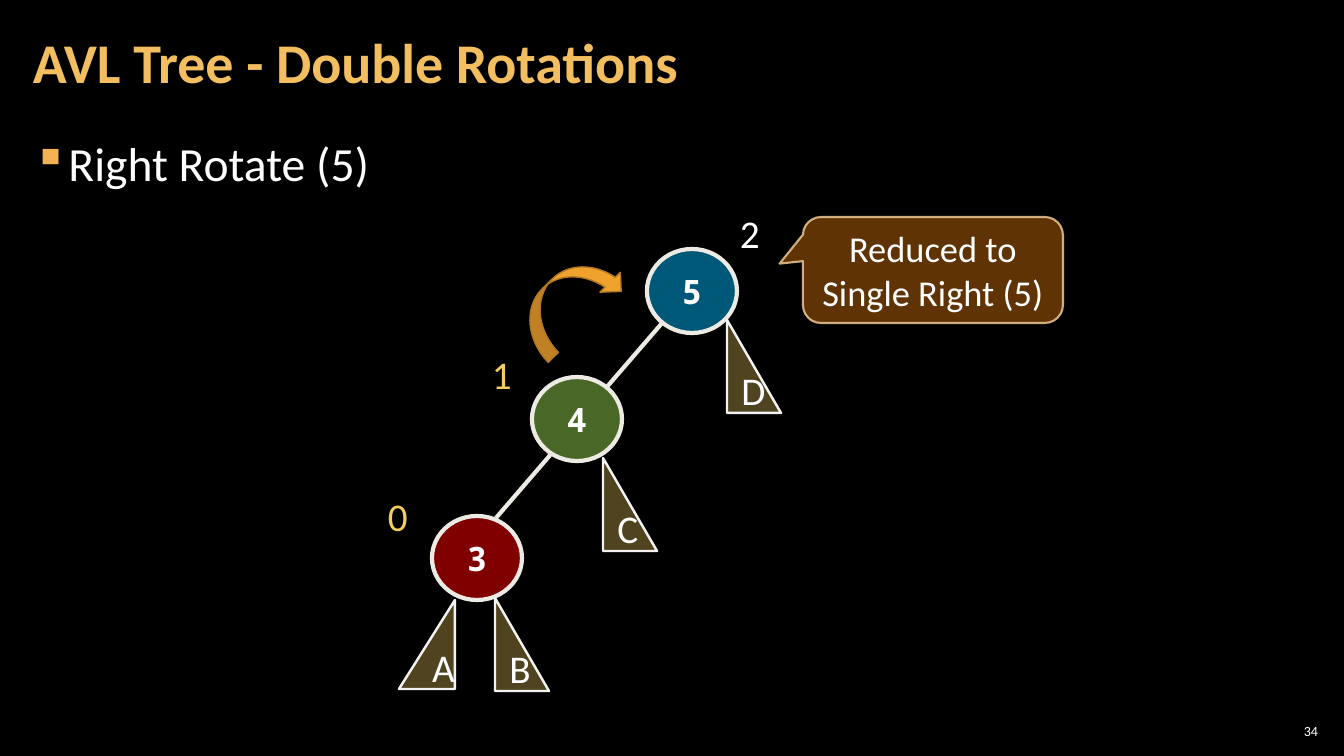
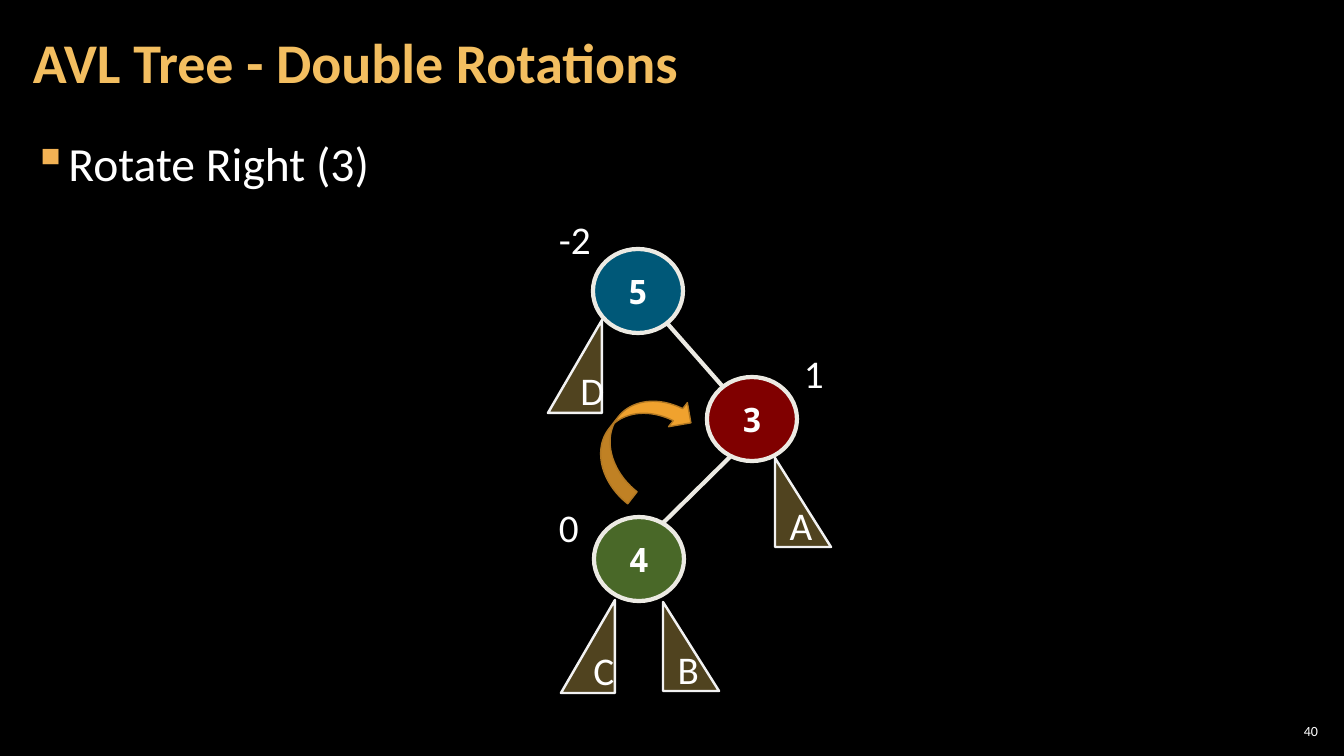
from lxml.etree import SubElement
from pptx import Presentation
from pptx.dml.color import RGBColor
from pptx.enum.shapes import MSO_CONNECTOR as Line, MSO_SHAPE as Shape
from pptx.enum.text import MSO_ANCHOR as Anchor, PP_ALIGN as Align
from pptx.oxml.ns import qn
from pptx.util import Pt

BLACK = RGBColor(0x00, 0x00, 0x00)
WHITE = RGBColor(0xFF, 0xFF, 0xFF)
TITLE = RGBColor(0xF3, 0xBE, 0x60)
BULLET = RGBColor(0xF2, 0xB2, 0x54)
GOLD = RGBColor(0xF3, 0xCD, 0x60)
IVORY = RGBColor(0xEC, 0xEA, 0xE3)
PALE = RGBColor(0xF2, 0xF2, 0xF2)
BLUE = RGBColor(0x00, 0xB0, 0xF0)
GREEN = RGBColor(0x92, 0xD0, 0x50)
RED = RGBColor(0xFF, 0x00, 0x00)
BROWN = RGBColor(0x66, 0x36, 0x06)
TAN = RGBColor(0xF8, 0xD4, 0x9E)
ORANGE = RGBColor(0xF0, 0xA2, 0x2E)
RUST = RGBColor(0xB2, 0x78, 0x22)

PX = 914400 / 100.8
SANS = "Calibri"
MONO = "Noto Sans Mono"

KEYS = {"5": BLUE, "4": GREEN, "3": RED}
SIZES = {"A": (56, 89), "C": (54, 93), "D": (54, 93)}

FRAME = {
    "title": {"box": (21, 4, 1055, 122), "pad": (12, 4), "anchor": Anchor.MIDDLE,
              "para": {"line_spacing": 0.9},
              "font": {"size": Pt(40), "bold": True}, "color": TITLE},
    "body": {"box": (21, 127, 1301, 614), "pad": (12, 4), "anchor": Anchor.TOP,
             "para": {"line_spacing": 1.05, "space_after": Pt(6)},
             "font": {"size": Pt(34)}, "color": WHITE},
    "page": {"box": (1275, 720, 47, 21), "pad": (4, 4), "anchor": Anchor.MIDDLE,
             "para": {"alignment": Align.RIGHT},
             "font": {"size": Pt(10)}, "color": WHITE},
}

SLIDES = [
    {
        "text": {"title": "AVL Tree - Double Rotations", "body": "Right Rotate (5)", "page": "34"},
        "edges": [(663, 322, 606, 388), (552, 453, 496, 518)],
        "nodes": [("5", 647, 249), ("4", 532, 377), ("3", 432, 516)],
        "trees": [("D", 727, 320, (54, 93), False), ("A", 399, 600, (56, 89), True),
                  ("B", 495, 598, (54, 93), False), ("C", 603, 458, (54, 93), False)],
        "marks": [("2", 730, 204, WHITE), ("1", 482, 345, GOLD), ("0", 378, 487, GOLD)],
        "arrow": (Shape.CURVED_DOWN_ARROW, (512, 273, 116, 57), 315.8, False),
        "note": "Reduced to Single Right (5)",
    },
    {
        "text": {"title": "AVL Tree - Double Rotations", "body": "Rotate Right (3)", "page": "40"},
        "edges": [(666, 322, 724, 388), (730, 457, 663, 523)],
        "nodes": [("5", 593, 249), ("3", 707, 377), ("4", 594, 517)],
        "trees": [("D", 548, 320, (54, 93), True), ("A", 775, 458, (56, 89), False),
                  ("C", 561, 600, (54, 93), True), ("B", 663, 602, (56, 89), False)],
        "marks": [("-2", 549, 210, WHITE), ("1", 794, 344, WHITE), ("0", 549, 498, WHITE)],
        "arrow": (Shape.CURVED_UP_ARROW, (581, 408, 118, 61), 128, True),
        "note": None,
    },
]
del SIZES


def write(item, text, size=28, color=WHITE, name=SANS, frame=None, para=None, font=None):
    box = item.text_frame
    for key, val in {"word_wrap": True, **(frame or {})}.items():
        setattr(box, key, val)
    line = box.paragraphs[0]
    for key, val in (para or {}).items():
        setattr(line, key, val)
    run = line.add_run()
    run.text = text
    for key, val in {"name": name, "size": Pt(size), **(font or {})}.items():
        setattr(run.font, key, val)
    run.font.color.rgb = color
    return line


def draw(page, kind, box, fill, edge, width, alpha=100, flip=False):
    item = page.shapes.add_shape(kind, *(round(n * PX) for n in box))
    item.shadow.inherit = False
    item.fill.solid()
    item.fill.fore_color.rgb = fill
    item.line.color.rgb = edge
    item.line.width = Pt(width)
    props = item.element.spPr
    if alpha < 100:
        tint = props.find(qn("a:solidFill")).find(qn("a:srgbClr"))
        SubElement(tint, qn("a:alpha"), val=str(alpha * 1000))
    if flip:
        props.find(qn("a:xfrm")).set("flipH", "1")
    return item


deck = Presentation()
deck.slide_width = round(1344 * PX)
deck.slide_height = round(756 * PX)
MID = {"vertical_anchor": Anchor.MIDDLE}
CENTER = {"alignment": Align.CENTER}

for data in SLIDES:
    page = deck.slides.add_slide(deck.slide_layouts[6])
    page.background.fill.solid()
    page.background.fill.fore_color.rgb = BLACK

    for part, look in FRAME.items():
        item = page.shapes.add_textbox(*(round(n * PX) for n in look["box"]))
        side, top = (round(n * PX) for n in look["pad"])
        frame = {"margin_left": side, "margin_right": side, "margin_top": top,
                 "margin_bottom": top, "vertical_anchor": look["anchor"]}
        line = write(item, data["text"][part], color=look["color"], frame=frame,
                     para=look["para"], font=look["font"])
        if part == "body":
            props = line._p.get_or_add_pPr()
            props.set("marL", str(round(33 * PX)))
            props.set("indent", str(round(-33 * PX)))
            tint = SubElement(props, qn("a:buClr"))
            SubElement(tint, qn("a:srgbClr"), val=str(BULLET))
            SubElement(props, qn("a:buChar"), char="▪")

    for ends in data["edges"]:
        edge = page.shapes.add_connector(Line.STRAIGHT, *(round(n * PX) for n in ends))
        edge.line.color.rgb = IVORY
        edge.line.width = Pt(3)
        SubElement(edge.element.spPr, qn("a:effectLst"))

    for key, left, top in data["nodes"]:
        node = draw(page, Shape.OVAL, (left, top, 90, 84), KEYS[key], IVORY, 3, 50)
        write(node, key, 24, name=MONO, frame={**MID, "word_wrap": False},
              para=CENTER, font={"bold": True})

    for key, left, top, size, flip in data["trees"]:
        tree = draw(page, Shape.RIGHT_TRIANGLE, (left, top, *size), GOLD, PALE, 1.75, 33, flip)
        write(tree, key, frame=MID, para=CENTER)

    kind, box, turn, flip = data["arrow"]
    arrow = draw(page, kind, box, ORANGE, RUST, 1, flip=flip)
    arrow.rotation = turn

    for text, left, top, color in data["marks"]:
        mark = page.shapes.add_textbox(*(round(n * PX) for n in (left, top, 61, 57)))
        write(mark, text, color=color)

    if data["note"]:
        note = draw(page, Shape.ROUNDED_RECTANGULAR_CALLOUT, (803, 217, 260, 106),
                    BROWN, TAN, 1.5, 95)
        for spot, val in enumerate((-0.59, -0.06, 0.17)):
            note.adjustments[spot] = val
        tint = note.element.spPr.find(qn("a:ln")).find(qn("a:solidFill"))[0]
        SubElement(tint, qn("a:alpha"), val="80000")
        write(note, data["note"], 26, frame=MID, para=CENTER)

deck.save("out.pptx")
